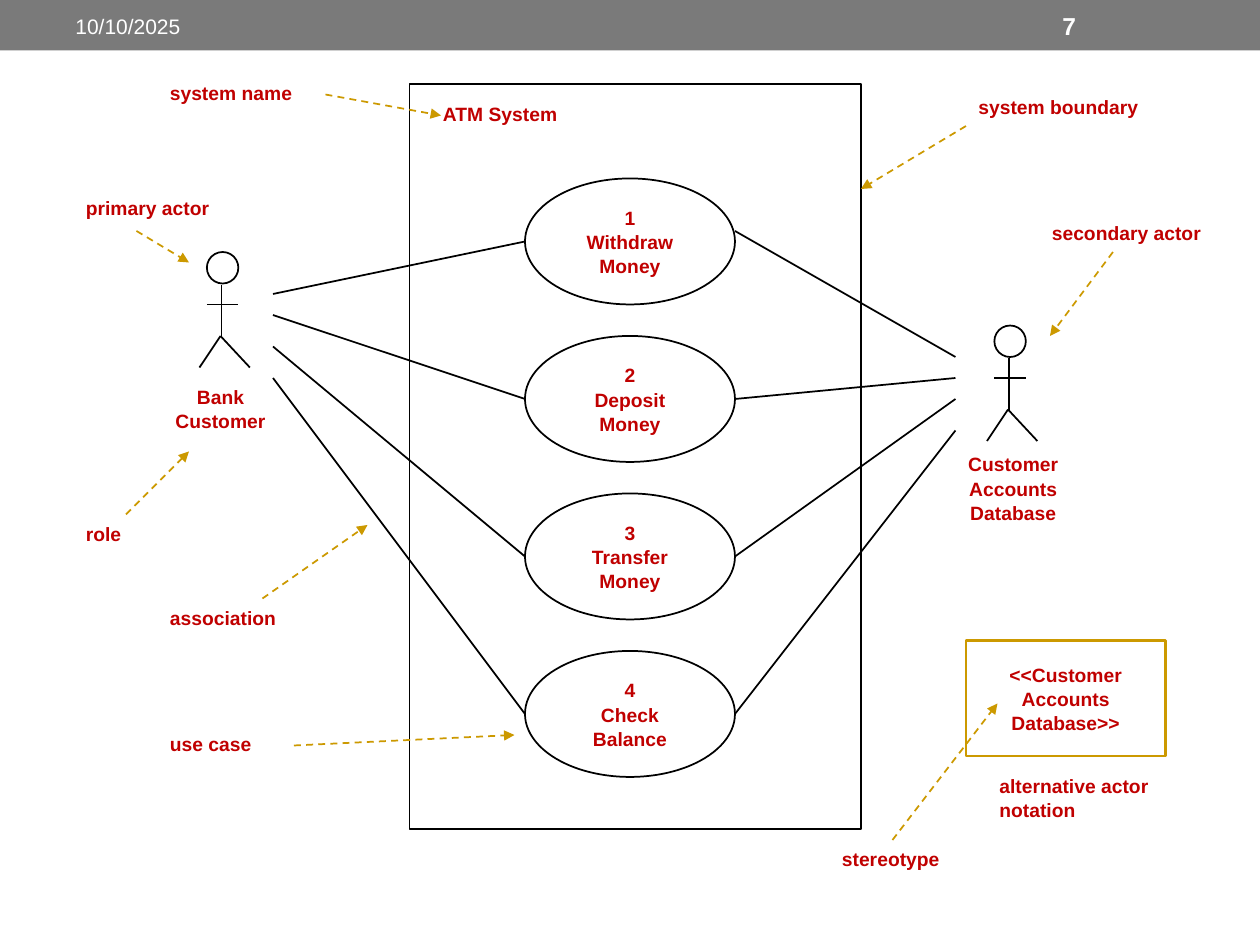
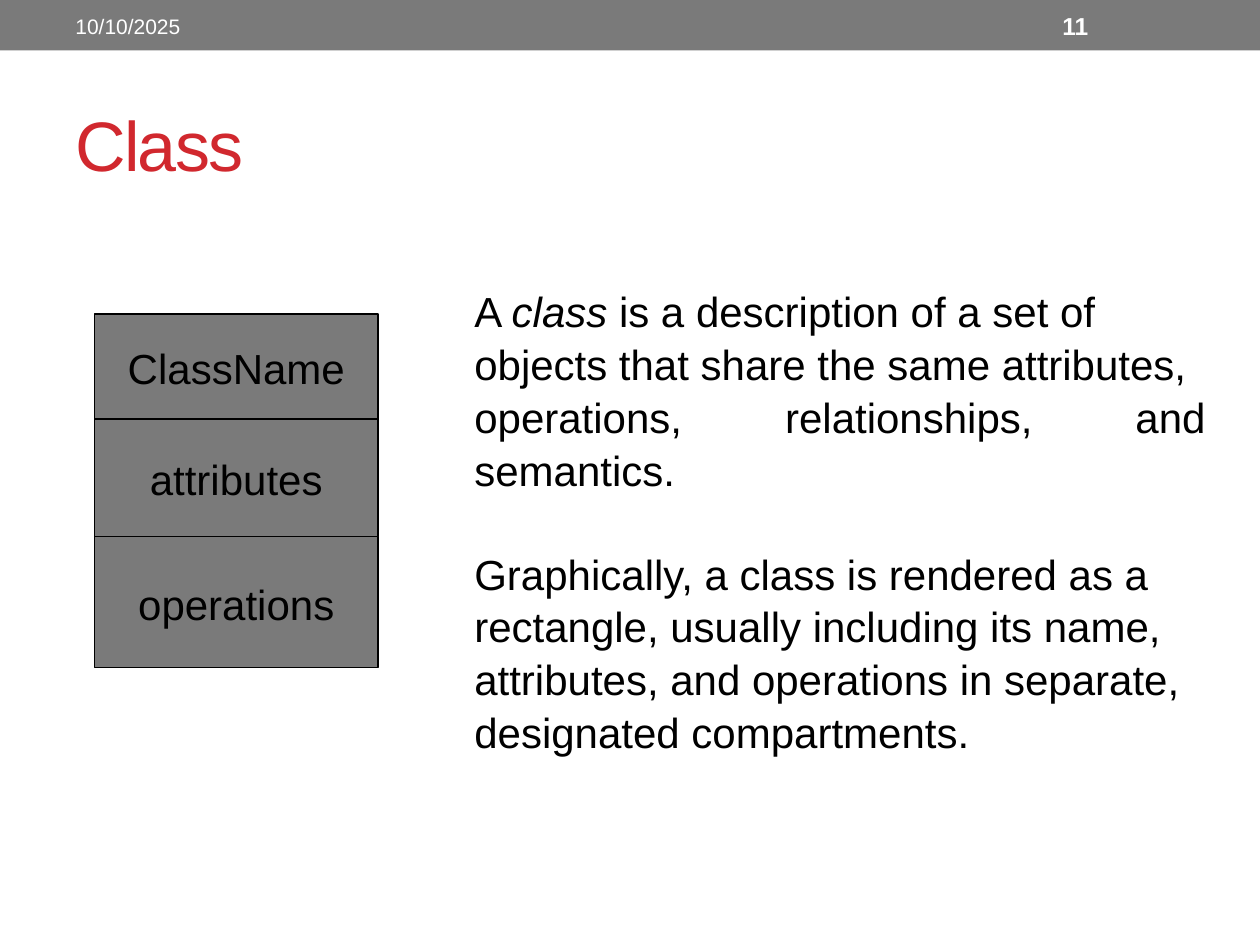
from lxml.etree import SubElement
from pptx import Presentation
from pptx.dml.color import RGBColor
from pptx.enum.dml import MSO_LINE as Dash
from pptx.enum.shapes import MSO_CONNECTOR as Connector, MSO_SHAPE as Shape
from pptx.enum.text import MSO_ANCHOR as Anchor, PP_ALIGN as Align
from pptx.oxml.ns import qn
from pptx.util import Pt

EMU_PER_PX = 7620
FONT = "Arial"
WHITE = RGBColor(0xFF, 0xFF, 0xFF)
BLACK = RGBColor(0, 0, 0)
GRAY = RGBColor(0x7A, 0x7A, 0x7A)
RED = RGBColor(0xD1, 0x28, 0x2E)
DARK_RED = RGBColor(0xC0, 0, 0)
GOLD = RGBColor(0xCC, 0x99, 0)
LINE_SPACING = 1.05
LABEL_SIZE = 11
LABEL_HEIGHT = 35
BODY_SIZE = 24

USE_CASES = ["Withdraw", "Money"], ["Deposit", "Money"], ["Transfer", "Money"], ["Check", "Balance"]
CASE_LEFT, CASE_TOP, CASE_WIDTH, CASE_HEIGHT, CASE_STEP = 500, 170, 200, 120, 150
CUSTOMER_X, CUSTOMER_ENDS = 260, (280, 300, 330, 360)
DATABASE_X, DATABASE_ENDS = 910, (340, 360, 380, 410)
CASE_RIGHT_ENDS = 220, 380, 530, 680

ANNOTATIONS = [
    ("primary actor", (70, 180, 180), (130, 220, 180, 250)),
    ("role", (70, 490, 70), (120, 490, 180, 430)),
    ("system name", (150, 70, 170), (310, 90, 420, 110)),
    ("system boundary", (920, 84, 200), (920, 120, 820, 180)),
    ("secondary actor", (990, 204, 190), (1060, 240, 1000, 320)),
    ("use case", (150, 690, 120), (280, 710, 490, 700)),
    ("stereotype", (790, 800, 140), (850, 800, 950, 670)),
    ("association", (150, 570, 150), (250, 570, 350, 500)),
]

COMPARTMENTS = ("ClassName", 100), ("attributes", 112), ("operations", 125)
DEFINITION = [
    "objects that share the same attributes,",
    "operations, relationships, and semantics.",
]
RENDERING = [
    "Graphically, a class is rendered as a",
    "rectangle, usually including its name,",
    "attributes, and operations in separate,",
    "designated compartments.",
]


def px(*lengths):
    return [length * EMU_PER_PX for length in lengths]


def write(shape, lines, size, color, bold=False, align=Align.LEFT, anchor=Anchor.MIDDLE, wrap=True):
    frame = shape.text_frame
    frame.word_wrap = wrap
    frame.vertical_anchor = anchor
    for index, line in enumerate(lines):
        para = frame.paragraphs[0] if index == 0 else frame.add_paragraph()
        para.alignment = align
        para.line_spacing = LINE_SPACING
        font = para.font
        font.name, font.size, font.bold = FONT, Pt(size), bold
        font.color.rgb = color
        for text, italic in [(line, False)] if isinstance(line, str) else line:
            span = para.add_run()
            span.text = text
            if italic:
                span.font.italic = True
    return frame.paragraphs


def add_text(page, place, lines, size, color, **style):
    return write(page.shapes.add_textbox(*px(*place)), lines, size, color, **style)


def add_label(page, text, left, top, width, height=LABEL_HEIGHT, align=Align.LEFT):
    add_text(page, (left, top, width, height), [text], LABEL_SIZE, DARK_RED,
             bold=True, align=align, anchor=Anchor.TOP)


def add_outline(page, kind, place, fill=None, line=BLACK, weight=1):
    shape = page.shapes.add_shape(kind, *px(*place))
    shape.shadow.inherit = False
    if fill is None:
        shape.fill.background()
    else:
        shape.fill.solid()
        shape.fill.fore_color.rgb = fill
    if line is None:
        shape.line.fill.background()
    else:
        shape.line.color.rgb = line
        shape.line.width = Pt(weight)
    return shape


def add_line(page, ends, color=BLACK):
    connector = page.shapes.add_connector(Connector.STRAIGHT, *px(*ends))
    connector.line.color.rgb = color
    connector.line.width = Pt(1)
    SubElement(connector._element.spPr, qn("a:effectLst"))
    return connector


def add_pointer(page, ends):
    line = add_line(page, ends, GOLD).line
    line.dash_style = Dash.DASH
    SubElement(line._get_or_add_ln(), qn("a:tailEnd"), type="triangle")


def add_actor(page, left, top):
    add_outline(page, Shape.OVAL, (left, top, 30, 30))
    body, hip, foot = left + 14, top + 80, top + 110
    add_line(page, (body, top + 31, body, hip))
    for foot_x in (left + 41, left - 7):
        add_line(page, (left + 13, hip, foot_x, foot))
    add_line(page, (left, top + 50, left + 30, top + 50))


def add_page(deck, number):
    page = deck.slides.add_slide(deck.slide_layouts[6])
    add_outline(page, Shape.RECTANGLE, (0, 0, 1200, 48), GRAY, None)
    add_text(page, (60, 2, 380, 44), ["10/10/2025"], 12, WHITE)
    add_text(page, (1000, 2, 140, 44), [number], 14, WHITE, bold=True)
    return page


def add_title(page, text):
    title, = add_text(page, (60, 70, 1080, 130), [text], 40, RED)
    title.runs[0]._r.get_or_add_rPr().set("spc", "-100")


def build_use_cases(deck):
    page = add_page(deck, "7")
    for index, name in enumerate(USE_CASES):
        top = CASE_TOP + index * CASE_STEP
        place = CASE_LEFT, top, CASE_WIDTH, CASE_HEIGHT
        oval = add_outline(page, Shape.OVAL, place)
        write(oval, [str(index + 1), *name], LABEL_SIZE, DARK_RED,
              bold=True, align=Align.CENTER, wrap=False)
        add_line(page, (CUSTOMER_X, CUSTOMER_ENDS[index], CASE_LEFT, top + CASE_HEIGHT // 2))
        add_line(page, (CASE_LEFT + CASE_WIDTH, CASE_RIGHT_ENDS[index],
                        DATABASE_X, DATABASE_ENDS[index]))
    add_outline(page, Shape.RECTANGLE, (390, 80, 430, 710))
    add_label(page, "ATM System", 410, 90, 200)

    add_actor(page, 197, 240)
    add_label(page, "Bank Customer", 140, 360, 140, 56, Align.CENTER)
    add_actor(page, 947, 310)
    add_label(page, "Customer Accounts Database", 900, 424, 130, 79, Align.CENTER)

    stereotype = add_outline(page, Shape.RECTANGLE, (920, 610, 190, 110), line=GOLD, weight=1.5)
    write(stereotype, ["<<Customer", "Accounts", "Database>>"], LABEL_SIZE, DARK_RED,
          bold=True, align=Align.CENTER, wrap=False)
    add_label(page, "alternative actor notation", 940, 730, 170, 56)
    for text, place, ends in ANNOTATIONS:
        add_label(page, text, *place)
        add_pointer(page, ends)


def build_class(deck):
    page = add_page(deck, "11")
    add_title(page, "Class")
    top = 299
    for name, height in COMPARTMENTS:
        box = add_outline(page, Shape.RECTANGLE, (90, top, 270, height), GRAY, weight=0.75)
        write(box, [name], BODY_SIZE, BLACK, align=Align.CENTER, wrap=False)
        top += height
    opening = [("A ", False), ("class", True), (" is a description of a set of", False)]
    lines = [opening, *DEFINITION, *RENDERING]
    paras = add_text(page, (440, 264, 720, 449), lines, BODY_SIZE, BLACK,
                     align=Align.JUSTIFY, anchor=Anchor.TOP)
    paras[-len(RENDERING)].space_before = Pt(29)


def main():
    deck = Presentation()
    deck.slide_width, deck.slide_height = px(1200, 900)
    build_use_cases(deck)
    build_class(deck)
    deck.save("out.pptx")


if __name__ == "__main__":
    main()
